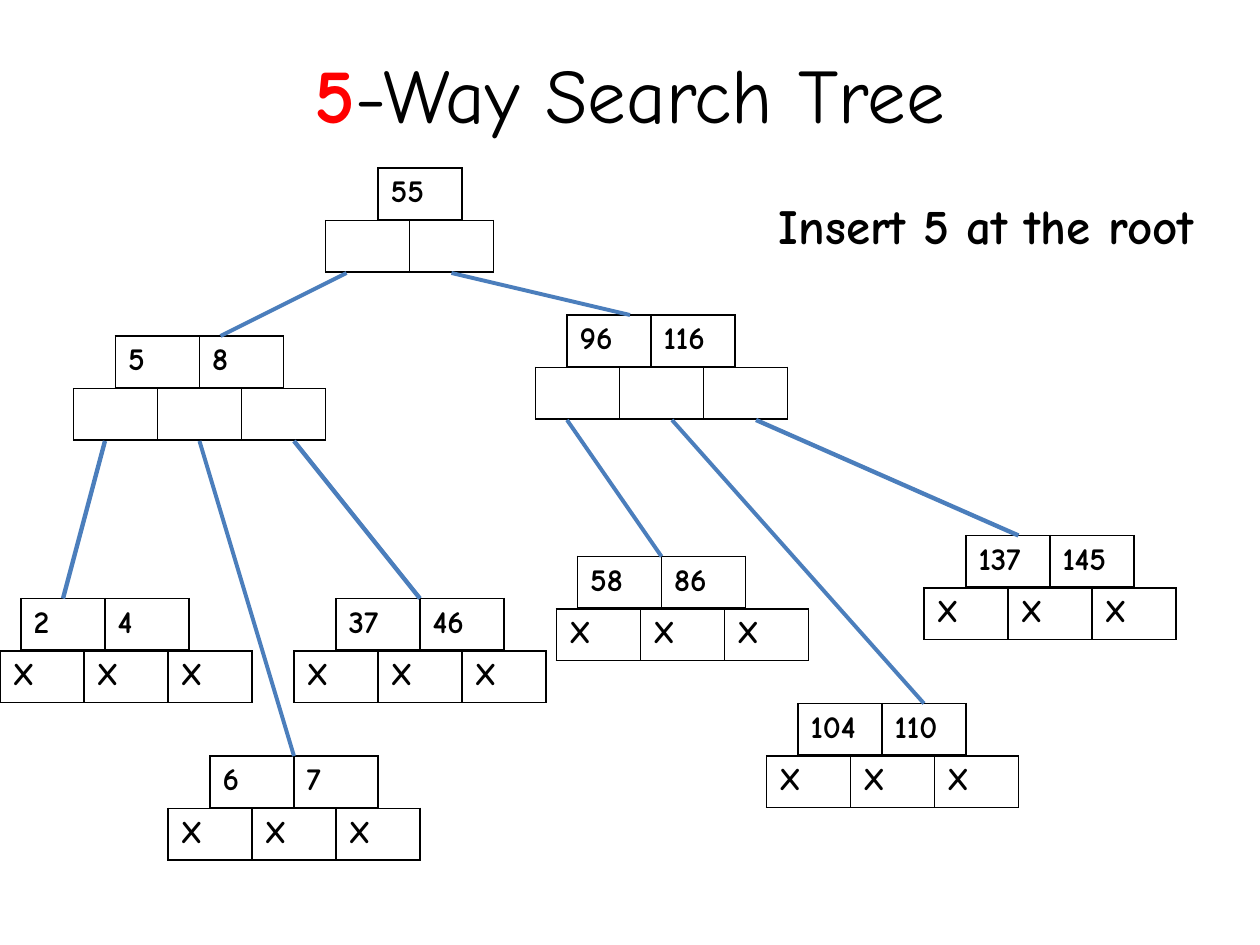
from lxml import etree
from pptx import Presentation
from pptx.dml.color import RGBColor
from pptx.enum import shapes, text
from pptx.oxml import parse_xml
from pptx.oxml.ns import nsdecls, qn
from pptx.util import Pt

BLACK = RGBColor(0, 0, 0)
WHITE = RGBColor(255, 255, 255)
RED = RGBColor(255, 0, 0)
BLUE = RGBColor(0x4B, 0x7E, 0xBC)
FONT = "Comic Neue"
CELL_W, CELL_H, STEP = 48, 29.5, 30

# Tree nodes: left of keys, top, keys, left of child row, child mark
NODES = [
    (216, 96, ["55"], 186, ""),
    (66, 192, ["5", "8"], 42, ""),
    (324, 180, ["96", "116"], 306, ""),
    (12, 342, ["2", "4"], 0, "X"),
    (120, 432, ["6", "7"], 96, "X"),
    (192, 342, ["37", "46"], 168, "X"),
    (330, 318, ["58", "86"], 318, "X"),
    (456, 402, ["104", "110"], 438, "X"),
    (552, 306, ["137", "145"], 528, "X"),
]

# Links from a child cell to its node: x1, y1, x2, y2, line width
LINKS = [
    (126, 192, 198, 156, 2.25),
    (258, 156, 360, 180, 2.25),
    (60, 252, 36, 342, 2.5),
    (114, 252, 168, 432, 2.25),
    (168, 252, 240, 342, 2.5),
    (324, 240, 378, 318, 2.25),
    (384, 240, 528, 402, 2.25),
    (432, 240, 582, 306, 2.5),
]


def write(para, words, size=18, bold=True, color=BLACK):
    run = para.add_run()
    run.text = words
    font = run.font
    font.name, font.size, font.bold = FONT, Pt(size), bold
    font.color.rgb = color


def border(cell):
    props = cell._tc.get_or_add_tcPr()
    for i, side in enumerate(("lnL", "lnR", "lnT", "lnB")):
        props.insert(i, parse_xml(
            f'<a:{side} {nsdecls("a")} w="12700"><a:solidFill>'
            f'<a:srgbClr val="{BLACK}"/></a:solidFill></a:{side}>'))


def add_row(slide, left, top, items):
    frame = slide.shapes.add_table(1, len(items), Pt(left), Pt(top),
                                   Pt(CELL_W * len(items)), Pt(CELL_H))
    table = frame.table
    table.first_row = table.horz_banding = False
    for col, item in zip(table.columns, items):
        col.width = Pt(CELL_W)
    for cell, item in zip(table.rows[0].cells, items):
        cell.fill.solid()
        cell.fill.fore_color.rgb = WHITE
        border(cell)
        if item:
            write(cell.text_frame.paragraphs[0], item)


def add_node(slide, left, top, keys, below, mark):
    add_row(slide, left, top, keys)
    add_row(slide, below, top + STEP, [mark] * (len(keys) + 1))


def add_link(slide, x1, y1, x2, y2, width):
    link = slide.shapes.add_connector(shapes.MSO_CONNECTOR.STRAIGHT,
                                      Pt(x1), Pt(y1), Pt(x2), Pt(y2))
    link.line.color.rgb = BLUE
    link.line.width = Pt(width)
    etree.SubElement(link._element.spPr, qn("a:effectLst"))


def add_title(slide):
    title = slide.shapes.title
    title.left, title.top = Pt(36), Pt(21.6)
    title.width, title.height = Pt(648), Pt(62.6)
    frame = title.text_frame
    frame.vertical_anchor = text.MSO_ANCHOR.MIDDLE
    para = frame.paragraphs[0]
    para.alignment = text.PP_ALIGN.CENTER
    write(para, "5", size=44, color=RED)
    write(para, "-Way Search Tree", size=44, bold=False)


def add_note(slide):
    box = slide.shapes.add_textbox(Pt(438), Pt(108), Pt(252), Pt(75))
    box.text_frame.word_wrap = True
    write(box.text_frame.paragraphs[0], "Insert 5 at the root", size=28)


def main():
    deck = Presentation()
    deck.slide_width, deck.slide_height = Pt(720), Pt(540)
    slide = deck.slides.add_slide(deck.slide_layouts[5])
    # Heading and remark
    add_title(slide)
    add_note(slide)
    # Tree
    for node in NODES:
        add_node(slide, *node)
    for link in LINKS:
        add_link(slide, *link)
    deck.save("out.pptx")


if __name__ == "__main__":
    main()
